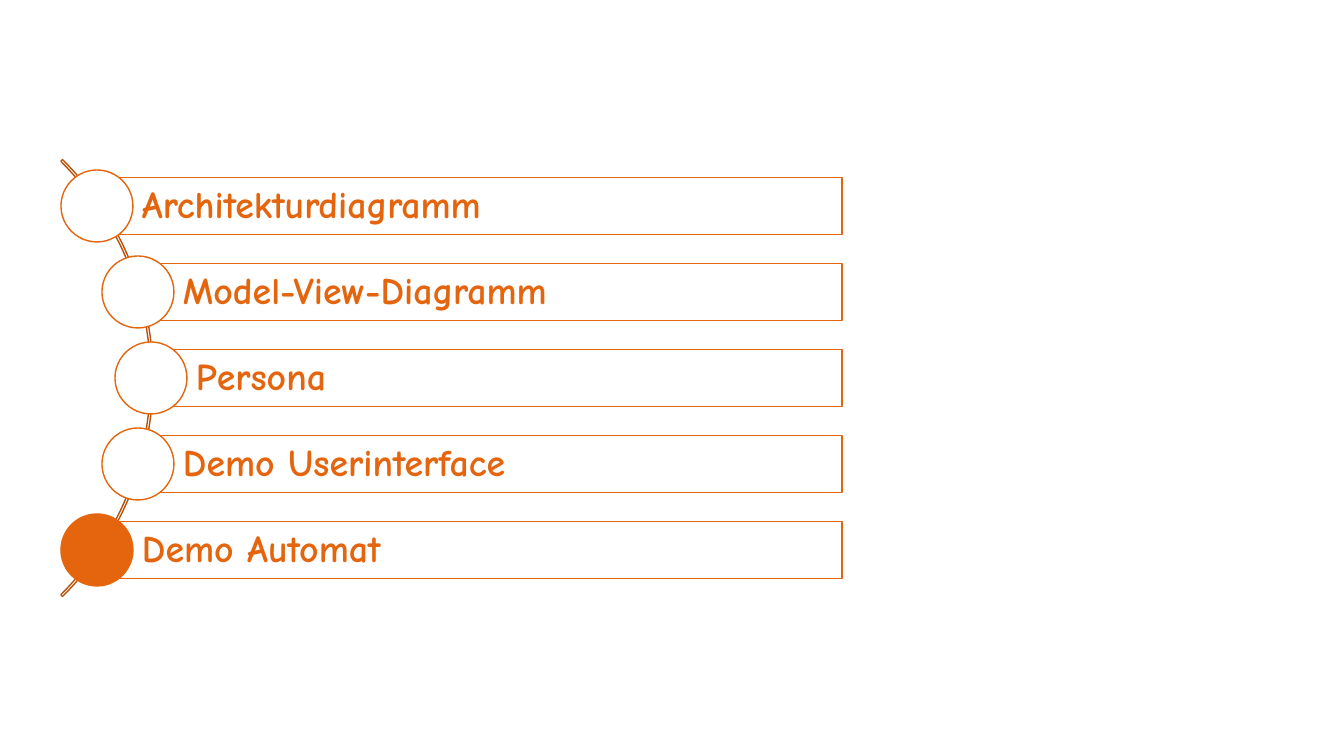
from dataclasses import dataclass

from pptx import Presentation
from pptx import util as u
from pptx.dml.color import RGBColor
from pptx.enum import shapes, text

PX = 914400 / 100.8  # EMU per pixel


@dataclass(frozen=True)
class Theme:
    accent = RGBColor(0xE4, 0x65, 0x0E)
    dark = RGBColor(0xB7, 0x51, 0x0B)
    white = RGBColor(0xFF, 0xFF, 0xFF)
    font = "Comic Neue"
    size = u.Pt(27)
    line = u.Pt(1)


def px(n):
    return u.Emu(round(n * PX))


def add_outline(s, kind, left, top, width, height, line, fill=None):
    sp = s.shapes.add_shape(kind, px(left), px(top), px(width), px(height))
    sp.shadow.inherit = False
    sp.line.color.rgb = line
    sp.line.width = Theme.line
    if fill is None:
        sp.fill.background()
    else:
        sp.fill.solid()
        sp.fill.fore_color.rgb = fill
    return sp


prs = Presentation()
prs.slide_width, prs.slide_height = px(1344), px(756)
s = prs.slides.add_slide(prs.slide_layouts[6])

# Curved spine: a thin arc from 315 to 45 degrees
arc = add_outline(s, shapes.MSO_SHAPE.BLOCK_ARC, -465, 69, 618, 618, Theme.dark)
for i, value in enumerate((189, 27, 0.004)):
    arc.adjustments[i] = value

# Agenda items: label and x of the circle's centre on the arc
ITEMS = (
    ("Architekturdiagramm", 97),
    ("Model-View-Diagramm", 138),
    ("Persona", 151),
    ("Demo Userinterface", 138),
    ("Demo Automat", 97),
)
CURRENT = "Demo Automat"
FIRST_Y, PITCH = 206, 86
BAR_RIGHT, BAR_H, DOT = 842, 57, 72

for i, (label, x) in enumerate(ITEMS):
    y = FIRST_Y + i * PITCH

    # Bar with its label
    bar = add_outline(s, shapes.MSO_SHAPE.RECTANGLE, x, y - BAR_H / 2,
                      BAR_RIGHT - x, BAR_H, Theme.accent)
    tf = bar.text_frame
    tf.word_wrap = True
    tf.vertical_anchor = text.MSO_ANCHOR.MIDDLE
    tf.margin_left = px(45)
    tf.margin_top = tf.margin_right = tf.margin_bottom = px(7)
    p = tf.paragraphs[0]
    p.alignment = text.PP_ALIGN.LEFT
    p.line_spacing = 0.9
    r = p.add_run()
    r.text = label
    r.font.name = Theme.font
    r.font.size = Theme.size
    r.font.bold = True
    r.font.color.rgb = Theme.accent

    # Circle, filled for the current item
    add_outline(s, shapes.MSO_SHAPE.OVAL, x - DOT / 2, y - DOT / 2, DOT, DOT,
                Theme.accent, Theme.accent if label == CURRENT else Theme.white)

prs.save("out.pptx")
